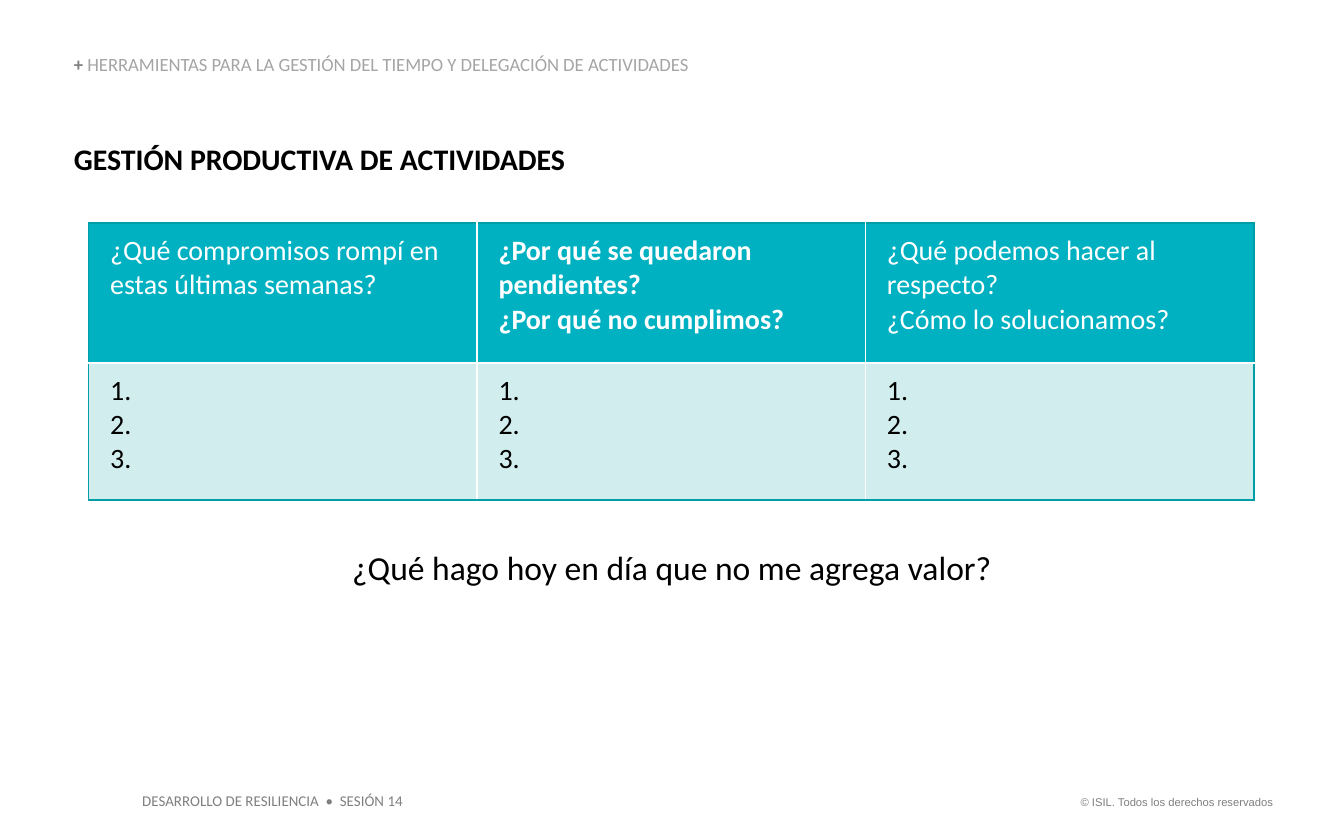
from lxml import etree
from pptx import Presentation
from pptx.dml.color import RGBColor
from pptx.enum.text import MSO_ANCHOR, MSO_AUTO_SIZE, PP_ALIGN
from pptx.oxml.ns import qn
from pptx.util import Inches, Pt

# Content
TITLE = "GESTIÓN PRODUCTIVA DE ACTIVIDADES"
TOPIC = "HERRAMIENTAS PARA LA GESTIÓN DEL TIEMPO Y DELEGACIÓN DE ACTIVIDADES"
QUESTION = "¿Qué hago hoy en día que no me agrega valor?"
COURSE = "DESARROLLO DE RESILIENCIA  •  SESIÓN 14"
COPYRIGHT = "© ISIL. Todos los derechos reservados"
HEADERS = [
    ("¿Qué compromisos rompí en estas últimas semanas?", False),
    ("¿Por qué se quedaron pendientes?\n¿Por qué no cumplimos?", True),
    ("¿Qué podemos hacer al respecto?\n¿Cómo lo solucionamos?", False),
]
ANSWERS = "1.\n2.\n3."

COLORS = {
    "black": "000000", "white": "FFFFFF", "gray": "7F7F7F", "light_gray": "A5A5A5",
    "header": "00B1C2", "body": "D1EDEE", "edge": "009FA7",
}
COLUMN_WIDTH = 2.89
ROW_HEIGHTS = [1.04, 1.02]


def color(name):
    return RGBColor.from_string(COLORS[name])


def style(span, size, color_name, bold=False, font="Calibri"):
    span.font.name = font
    span.font.size = Pt(size)
    span.font.bold = bold
    span.font.color.rgb = color(color_name)


def write(frame, text, size, color_name, bold=False, font="Calibri", align=PP_ALIGN.LEFT):
    frame.text = text
    for paragraph in frame.paragraphs:
        paragraph.alignment = align
        for span in paragraph.runs:
            style(span, size, color_name, bold, font)


def set_frame(frame, side=0, end=0, anchor=MSO_ANCHOR.TOP):
    frame.word_wrap = True
    frame.auto_size = MSO_AUTO_SIZE.NONE
    frame.vertical_anchor = anchor
    frame.margin_left = frame.margin_right = Inches(side)
    frame.margin_top = frame.margin_bottom = Inches(end)


def add_text(page, place, **layout):
    box = page.shapes.add_textbox(*map(Inches, place))
    set_frame(box.text_frame, **layout)
    return box.text_frame


def set_borders(cell, edges):
    properties = cell._tc.get_or_add_tcPr()
    for position, (side, color_name) in enumerate(edges.items()):
        line = etree.Element(qn(f"a:ln{side}"), w=str(Pt(1)))
        fill = etree.SubElement(line, qn("a:solidFill"))
        etree.SubElement(fill, qn("a:srgbClr"), val=COLORS[color_name])
        properties.insert(position, line)


def add_commitments(page):
    count = len(HEADERS)
    last_row = len(ROW_HEIGHTS) - 1
    table = page.shapes.add_table(
        len(ROW_HEIGHTS), count, Inches(0.66), Inches(1.66),
        Inches(COLUMN_WIDTH * count), Inches(sum(ROW_HEIGHTS))).table
    for column in table.columns:
        column.width = Inches(COLUMN_WIDTH)
    for row, height in zip(table.rows, ROW_HEIGHTS):
        row.height = Inches(height)

    for row in range(last_row + 1):
        for column, (header, bold) in enumerate(HEADERS):
            cell = table.cell(row, column)
            cell.margin_left, cell.margin_right = Inches(0.16), Inches(0.08)
            cell.margin_top, cell.margin_bottom = Inches(0.08), Inches(0.04)
            cell.fill.solid()
            cell.fill.fore_color.rgb = color("body" if row else "header")
            if row:
                write(cell.text_frame, ANSWERS, 15, "black")
            else:
                write(cell.text_frame, header, 15, "white", bold)
            # Teal around the table, white between the cells
            outer = {"L": column == 0, "R": column == count - 1,
                     "T": row == 0, "B": row == last_row}
            set_borders(cell, {side: "edge" if is_outer else "white"
                               for side, is_outer in outer.items()})


def main():
    deck = Presentation()
    deck.slide_width, deck.slide_height = Inches(10), Inches(6.25)
    page = deck.slides.add_slide(deck.slide_layouts[5])

    # Footer
    frame = add_text(page, (7.88, 5.87, 1.69, 0.2), side=0.1, end=0.05)
    write(frame, COPYRIGHT, 6, "gray", font="Arial", align=PP_ALIGN.RIGHT)
    frame = add_text(page, (0.96, 5.84, 2.14, 0.24), side=0.1, end=0.05)
    write(frame, COURSE, 8, "gray")

    # Table and closing question
    add_commitments(page)
    frame = add_text(page, (2.59, 4.07, 4.82, 0.3))
    write(frame, QUESTION, 18, "black", align=PP_ALIGN.CENTER)

    # Title
    title = page.shapes.title
    title.left, title.top, title.width, title.height = map(Inches, (0.55, 1.05, 7.8, 0.27))
    set_frame(title.text_frame)
    write(title.text_frame, TITLE, 16, "black", bold=True)

    # Topic line
    frame = add_text(page, (0.55, 0.41, 4.78, 0.15), anchor=MSO_ANCHOR.BOTTOM)
    write(frame, "+ ", 10, "gray", bold=True)
    paragraph = frame.paragraphs[0]
    paragraph.line_spacing = 0.9
    span = paragraph.add_run()
    span.text = TOPIC
    style(span, 10, "light_gray")

    deck.save("out.pptx")


if __name__ == "__main__":
    main()
